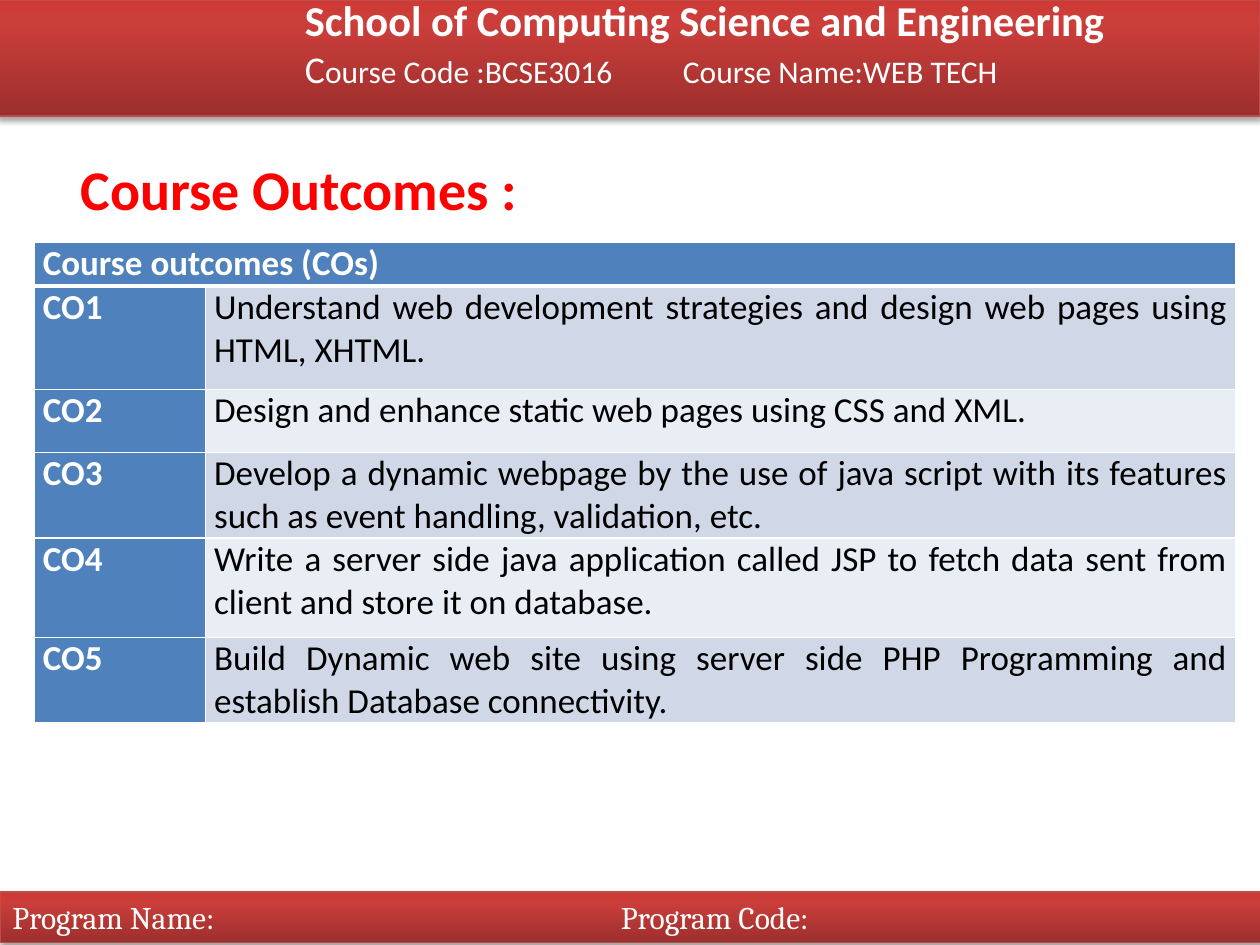
from copy import deepcopy

from lxml.etree import SubElement
from pptx import Presentation
from pptx.dml.color import RGBColor
from pptx.enum.shapes import MSO_SHAPE as Shape
from pptx.enum.text import MSO_ANCHOR as Anchor, MSO_AUTO_SIZE as AutoSize, PP_ALIGN as Align
from pptx.oxml import parse_xml
from pptx.oxml.ns import nsdecls, qn
from pptx.util import Inches, Pt

SCHOOL = "School of Computing Science and Engineering"
COURSE = [("C", 21.6), ("ourse Code :BCSE3016\tCourse Name:WEB TECH", 18)]
FOOTER = "Program Name:\tProgram Code:"
HEADING = "Course Outcomes :"
TABLE_TITLE = "Course outcomes (COs)"
OUTCOMES = [
    ("Understand web development strategies and design web pages using HTML, XHTML.", 0.82),
    ("Design and enhance static web pages using CSS and XML.", 0.5),
    ("Develop a dynamic webpage by the use of java script with its features "
     "such as event handling, validation, etc.", 0.68),
    ("Write a server side java application called JSP to fetch data sent from "
     "client and store it on database.", 0.79),
    ("Build Dynamic web site using server side PHP Programming and "
     "establish Database connectivity.", 0.68),
]
TITLE_ROW = 0.35
COLUMNS = (1.36, 8.18)
BLUE, BANDS = "4F81BD", ("D0D8E8", "E9EDF4")
BANNER_STOPS = [(0, "9C2F2D"), (0.8, "CB3E3A"), (1, "CE3B37")]


def rgb(value):
    return RGBColor.from_string(value)


def write(para, text, size=20, color="FFFFFF", bold=False, font="Calibri", align=Align.LEFT):
    para.alignment = align
    span = para.add_run()
    span.text = text
    span.font.size, span.font.bold, span.font.name = Pt(size), bold, font
    span.font.color.rgb = rgb(color)


def place(shape, left, top, width, height):
    shape.left, shape.top, shape.width, shape.height = map(Inches, (left, top, width, height))


def set_insets(box, left, top, right, bottom):
    box.margin_left, box.margin_top, box.margin_right, box.margin_bottom = map(
        Inches, (left, top, right, bottom))


def add_tab(para, position):
    tabs = SubElement(para._p.get_or_add_pPr(), qn("a:tabLst"))
    SubElement(tabs, qn("a:tab"), pos=str(Inches(position)), algn="l")


def style_banner(shape):
    shape.fill.gradient()
    shape.fill.gradient_angle = 90
    stops = shape._element.spPr.find(".//" + qn("a:gsLst"))
    stops.insert(1, deepcopy(stops[0]))
    for stop, (position, color) in zip(shape.fill.gradient_stops, BANNER_STOPS):
        stop.position = position
        stop.color.rgb = rgb(color)
    shape.line.color.rgb = rgb("BF4C48")
    shape.line.width = Pt(0.75)
    shape._element.spPr.append(parse_xml(
        f'<a:effectLst {nsdecls("a")}><a:outerShdw blurRad="{Pt(3.1)}" dist="{Pt(1.8)}" '
        'dir="5400000" rotWithShape="0"><a:srgbClr val="000000"><a:alpha val="35000"/>'
        '</a:srgbClr></a:outerShdw></a:effectLst>'))


def format_cell(cell, fill, bottom=1, top=1):
    set_insets(cell, 0.07, 0, 0.07, 0)
    cell.vertical_anchor = Anchor.TOP
    cell.fill.solid()
    cell.fill.fore_color.rgb = rgb(fill)
    sides = {"lnL": 1, "lnR": 1, "lnT": top, "lnB": bottom}
    for index, (side, width) in enumerate(sides.items()):
        cell._tc.get_or_add_tcPr().insert(index, parse_xml(
            f'<a:{side} {nsdecls("a")} w="{Pt(width)}"><a:solidFill>'
            f'<a:srgbClr val="FFFFFF"/></a:solidFill></a:{side}>'))


def add_header(page):
    title = page.shapes.title
    place(title, -0.02, 0, 10.02, 0.92)
    style_banner(title)
    box = title.text_frame
    box.auto_size, box.vertical_anchor, box.word_wrap = AutoSize.NONE, Anchor.TOP, True
    set_insets(box, 1.95, 0, 0.1, 0)
    school, course = box.paragraphs[0], box.add_paragraph()
    school.line_spacing = course.line_spacing = 0.9
    school._p.get_or_add_pPr().set("marL", str(Inches(0.49)))
    school.space_before, course.space_before = Pt(0), Pt(3)
    add_tab(course, 3)
    write(school, SCHOOL, size=24.3, bold=True)
    for text, size in COURSE:
        write(course, text, size=size)


def add_footer(page):
    footer = page.shapes.add_shape(Shape.RECTANGLE, 0, 0, 0, 0)
    place(footer, 0, 7.08, 10.03, 0.4)
    style_banner(footer)
    box = footer.text_frame
    box.vertical_anchor, box.word_wrap = Anchor.MIDDLE, True
    add_tab(box.paragraphs[0], 4.83)
    write(box.paragraphs[0], FOOTER, size=18, font="Cambria")


def add_heading(page):
    heading = page.shapes.add_textbox(0, 0, 0, 0)
    place(heading, 0.54, 1.18, 8.94, 0.64)
    heading.text_frame.word_wrap = True
    write(heading.text_frame.paragraphs[0], HEADING, size=32, color="FF0000", bold=True)


def add_outcomes(page):
    heights = [TITLE_ROW] + [height for _, height in OUTCOMES]
    table = page.shapes.add_table(
        len(heights), len(COLUMNS), Inches(0.27), Inches(1.92),
        Inches(sum(COLUMNS)), Inches(sum(heights))).table
    for column, width in zip(table.columns, COLUMNS):
        column.width = Inches(width)
    for row, height in zip(table.rows, heights):
        row.height = Inches(height)
    for cell in table.rows[0].cells:
        format_cell(cell, BLUE, bottom=3)
    table.cell(0, 0).merge(table.cell(0, 1))
    write(table.cell(0, 0).text_frame.paragraphs[0], TABLE_TITLE, bold=True)
    for number, (outcome, _) in enumerate(OUTCOMES, 1):
        label, detail = table.rows[number].cells
        top = 3 if number == 1 else 1
        format_cell(label, BLUE, top=top)
        format_cell(detail, BANDS[(number - 1) % 2], top=top)
        write(label.text_frame.paragraphs[0], f"CO{number}", bold=True)
        write(detail.text_frame.paragraphs[0], outcome, color="000000", align=Align.JUSTIFY)


def main():
    deck = Presentation()
    deck.slide_width, deck.slide_height = Inches(10), Inches(7.5)
    page = deck.slides.add_slide(deck.slide_layouts[5])
    add_header(page)
    add_footer(page)
    add_heading(page)
    add_outcomes(page)
    deck.save("out.pptx")


if __name__ == "__main__":
    main()
